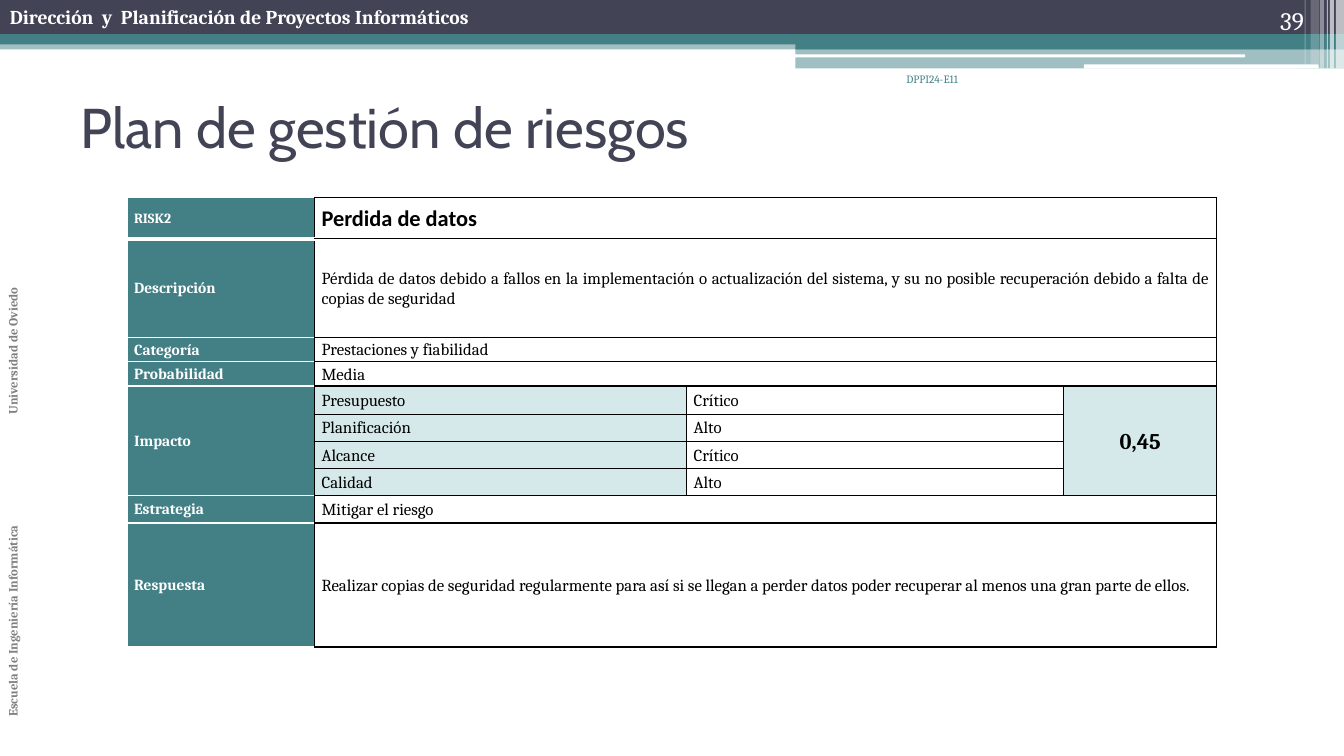
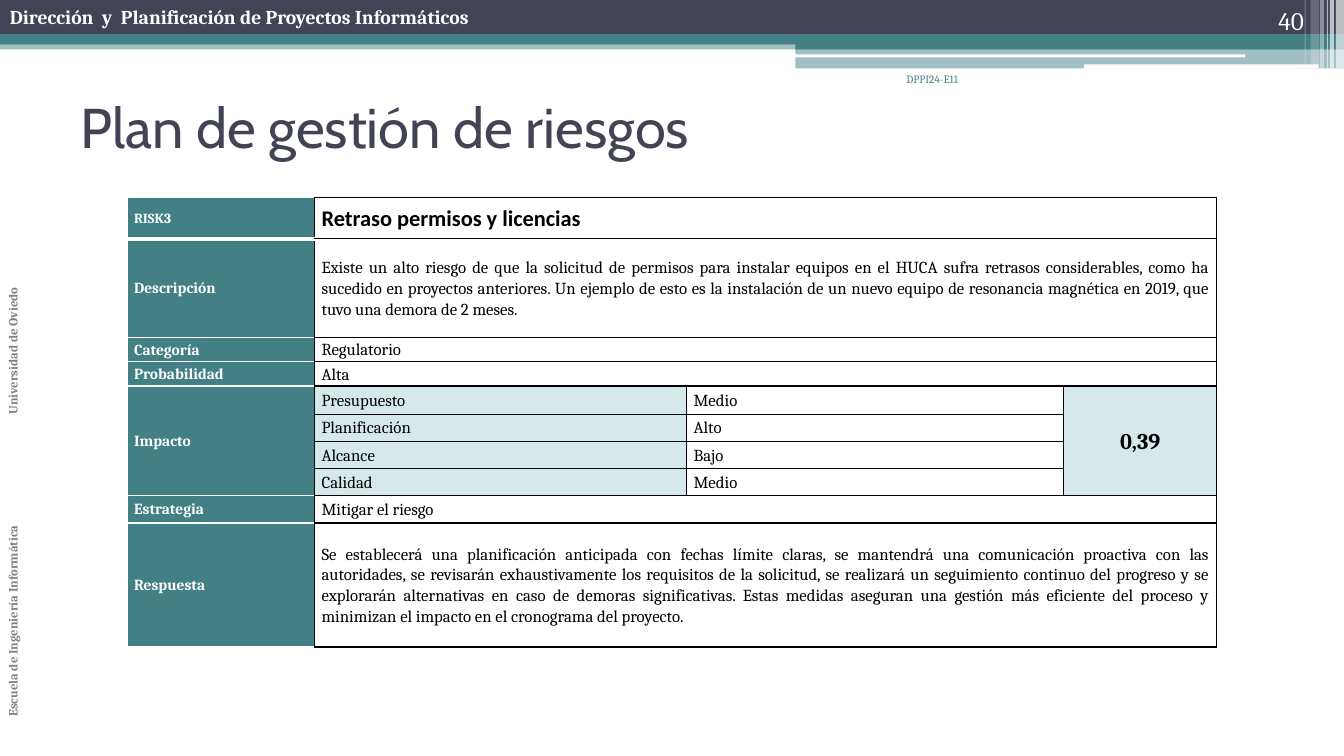
import pptx
import pptx.dml.color
import pptx.enum.shapes
import pptx.enum.text
import pptx.oxml
import pptx.oxml.ns
import pptx.util

# ---- Content ----
COURSE = "Dirección  y  Planificación de Proyectos Informáticos"
SCHOOL = "Escuela de Ingeniería Informática\t\t\tUniversidad de Oviedo"
TEAM = "DPPI24-E11"
TITLE = "Plan de gestión de riesgos"
IMPACT_AREAS = ("Presupuesto", "Planificación", "Alcance", "Calidad")

RISKS = [
    {
        "page": "39", "id": "RISK2", "name": "Perdida de datos",
        "Descripción": "Pérdida de datos debido a fallos en la implementación o "
                       "actualización del sistema, y su no posible recuperación debido a "
                       "falta de copias de seguridad",
        "Categoría": "Prestaciones y fiabilidad",
        "Probabilidad": "Media",
        "levels": ("Crítico", "Alto", "Crítico", "Alto"), "score": "0,45",
        "Estrategia": "Mitigar el riesgo",
        "Respuesta": "Realizar copias de seguridad regularmente para así si se llegan a "
                     "perder datos poder recuperar al menos una gran parte de ellos.",
    },
    {
        "page": "40", "id": "RISK3", "name": "Retraso permisos y licencias",
        "Descripción": "Existe un alto riesgo de que la solicitud de permisos para instalar "
                       "equipos en el HUCA sufra retrasos considerables, como ha sucedido en "
                       "proyectos anteriores. Un ejemplo de esto es la instalación de un "
                       "nuevo equipo de resonancia magnética en 2019, que tuvo una demora de "
                       "2 meses.",
        "Categoría": "Regulatorio",
        "Probabilidad": "Alta",
        "levels": ("Medio", "Alto", "Bajo", "Medio"), "score": "0,39",
        "Estrategia": "Mitigar el riesgo",
        "Respuesta": "Se establecerá una planificación anticipada con fechas límite claras, "
                     "se mantendrá una comunicación proactiva con las autoridades, se "
                     "revisarán exhaustivamente los requisitos de la solicitud, se realizará "
                     "un seguimiento continuo del progreso y se explorarán alternativas en "
                     "caso de demoras significativas. Estas medidas aseguran una gestión más "
                     "eficiente del proceso y minimizan el impacto en el cronograma del "
                     "proyecto.",
    },
]

# ---- Theme and geometry (100 px per inch) ----
THEME = {
    "navy": "424456", "teal": "438086", "pale": "D6E9EA", "gray": "808080",
    "white": "FFFFFF", "black": "000000",
    "body": "Cambria", "heading": "Cabin", "risk": "Calibri",
    "title_pt": 40, "page_pt": 18, "score_pt": 16, "course_pt": 14, "cell_pt": 12,
    "label_pt": 11, "id_pt": 10, "school_pt": 9, "team_pt": 8,
}
PX = 9144
WIDTH, HEIGHT = 1333, 750

# left, top, width, height, colour, opacity %
BANDS = [
    (0, 40, WIDTH, 9, "teal", 50),
    (0, 0, WIDTH, 34, "navy", 100),
    (0, 34, WIDTH, 10, "teal", 100),
    (789, 39, 544, 10, "teal", 100),
    (789, 48, 544, 20, "teal", 50),
]
HIGHLIGHTS = [(788, 54, 447, 3, "white", 100), (1075, 64, 233, 4, "white", 100)]
# left, width, height, opacity %
STRIPES = [(1325, 8, 68, 65), (1319, 4, 68, 65), (1316, 1, 68, 60),
           (1309, 4, 68, 40), (1300, 8, 64, 20), (1294, 1, 64, 30)]

TABLE_LEFT, TABLE_TOP = 126, 196
COLUMNS = (186, 369, 374, 152)
ROWS = (41, 98, 24, 24, 28, 27, 27, 27, 27, 123)
IMPACT_ROW = 4
IMPACT_END = IMPACT_ROW + len(IMPACT_AREAS) - 1
FIELD_ROWS = {"Descripción": 1, "Categoría": 2, "Probabilidad": 3,
              "Estrategia": IMPACT_END + 1, "Respuesta": IMPACT_END + 2}
LONG_FIELDS = ("Descripción", "Respuesta")

ALIGN = pptx.enum.text.PP_ALIGN
ANCHOR = pptx.enum.text.MSO_ANCHOR
SHAPE = pptx.enum.shapes.MSO_SHAPE


def rgb(color):
    return pptx.dml.color.RGBColor.from_string(THEME[color])


def format_text(frame, text, size, color, font="body", bold=False, align=ALIGN.LEFT):
    frame.text = text
    paragraph = frame.paragraphs[0]
    paragraph.alignment = align
    run_font = paragraph.runs[0].font
    run_font.name = THEME[font]
    run_font.size = pptx.util.Pt(THEME[size])
    run_font.bold = bold
    run_font.color.rgb = rgb(color)
    return paragraph


# ---- Frame shared by the slides ----
def add_band(slide, kind, left, top, width, height, color, opacity):
    band = slide.shapes.add_shape(kind, left * PX, top * PX, width * PX, height * PX)
    band.shadow.inherit = False
    band.line.fill.background()
    band.fill.solid()
    band.fill.fore_color.rgb = rgb(color)
    if opacity < 100:
        tint = band.fill._xPr.find(".//" + pptx.oxml.ns.qn("a:srgbClr"))
        alpha = pptx.oxml.parse_xml(
            f'<a:alpha {pptx.oxml.ns.nsdecls("a")} val="{opacity * 1000}"/>')
        tint.append(alpha)


def add_label(slide, box, text, size, color, anchor=ANCHOR.TOP, grow=False, **style):
    label = slide.shapes.add_textbox(*(length * PX for length in box))
    frame = label.text_frame
    frame.word_wrap = True
    frame.vertical_anchor = anchor
    if grow:
        frame.auto_size = pptx.enum.text.MSO_AUTO_SIZE.SHAPE_TO_FIT_TEXT
    format_text(frame, text, size, color, **style)
    return frame


def add_frame(slide, page):
    for band in BANDS:
        add_band(slide, SHAPE.RECTANGLE, *band)
    for highlight in HIGHLIGHTS:
        add_band(slide, SHAPE.ROUNDED_RECTANGLE, *highlight)
    for left, width, height, opacity in STRIPES:
        add_band(slide, SHAPE.RECTANGLE, left, 0, width, height, "white", opacity)

    add_label(slide, (0, 0, 824, 34), COURSE, "course_pt", "white", grow=True, bold=True)
    school = add_label(slide, (0, 54, 35, 667), SCHOOL, "school_pt", "gray",
                       grow=True, bold=True)
    school._txBody.bodyPr.set("vert", "vert270")
    add_label(slide, (767, 67, 193, 50), TEAM, "team_pt", "teal", align=ALIGN.RIGHT)
    add_label(slide, (1192, 0, 111, 40), page, "page_pt", "white",
              anchor=ANCHOR.BOTTOM, align=ALIGN.RIGHT)
    add_label(slide, (70, 67, 1200, 117), TITLE, "title_pt", "navy",
              anchor=ANCHOR.MIDDLE, font="heading")


# ---- Risk table ----
def set_borders(cell, left, right, top, bottom, bottom_pt=1):
    borders = (("L", left, 1), ("R", right, 1), ("T", top, 1), ("B", bottom, bottom_pt))
    properties = cell._tc.get_or_add_tcPr()
    for position, (side, color, points) in enumerate(borders):
        properties.insert(position, pptx.oxml.parse_xml(
            f'<a:ln{side} {pptx.oxml.ns.nsdecls("a")} w="{pptx.util.Pt(points)}">'
            f'<a:solidFill><a:srgbClr val="{THEME[color]}"/></a:solidFill></a:ln{side}>'))


def prepare_cell(cell, row, column):
    in_impact = IMPACT_ROW <= row <= IMPACT_END
    if column == 0:
        set_borders(cell, "white", "black", "white", "white", 3 if row == 0 else 1)
        color = "teal"
    else:
        set_borders(cell, "black", "black", "black", "black")
        color = "pale" if in_impact and column in (1, 3) else "white"
    cell.fill.solid()
    cell.fill.fore_color.rgb = rgb(color)
    cell.vertical_anchor = ANCHOR.MIDDLE
    cell.margin_left = cell.margin_right = 7 * PX
    cell.margin_top = cell.margin_bottom = 0


def add_risk_table(slide, risk):
    table = slide.shapes.add_table(
        len(ROWS), len(COLUMNS), TABLE_LEFT * PX, TABLE_TOP * PX,
        sum(COLUMNS) * PX, sum(ROWS) * PX).table
    table.first_row = table.horz_banding = False
    for column, width in zip(table.columns, COLUMNS):
        column.width = width * PX
    for row, height in zip(table.rows, ROWS):
        row.height = height * PX
    for row in range(len(ROWS)):
        for column in range(len(COLUMNS)):
            prepare_cell(table.cell(row, column), row, column)

    def write(row, column, text, size="cell_pt", color="black", **style):
        paragraph = format_text(table.cell(row, column).text_frame, text, size, color, **style)
        paragraph.line_spacing = 1.07
        paragraph.space_after = pptx.util.Pt(8)

    # Merged areas
    for row in (0, *FIELD_ROWS.values()):
        table.cell(row, 1).merge(table.cell(row, 3))
    for column in (0, 3):
        table.cell(IMPACT_ROW, column).merge(table.cell(IMPACT_END, column))

    # Heading and single fields
    write(0, 0, risk["id"], "id_pt", "white", bold=True)
    write(0, 1, risk["name"], "score_pt", font="risk", bold=True, align=ALIGN.JUSTIFY)
    for field, row in FIELD_ROWS.items():
        write(row, 0, field, "label_pt", "white", bold=True)
        write(row, 1, risk[field],
              align=ALIGN.JUSTIFY if field in LONG_FIELDS else ALIGN.LEFT)

    # Impact by area
    write(IMPACT_ROW, 0, "Impacto", "label_pt", "white", bold=True)
    write(IMPACT_ROW, 3, risk["score"], "score_pt", bold=True, align=ALIGN.CENTER)
    for row, (area, level) in enumerate(zip(IMPACT_AREAS, risk["levels"]), IMPACT_ROW):
        write(row, 1, area)
        write(row, 2, level)


def main():
    deck = pptx.Presentation()
    deck.slide_width, deck.slide_height = WIDTH * PX, HEIGHT * PX
    for risk in RISKS:
        slide = deck.slides.add_slide(deck.slide_layouts[6])
        add_frame(slide, risk["page"])
        add_risk_table(slide, risk)
    deck.save("out.pptx")


if __name__ == "__main__":
    main()
